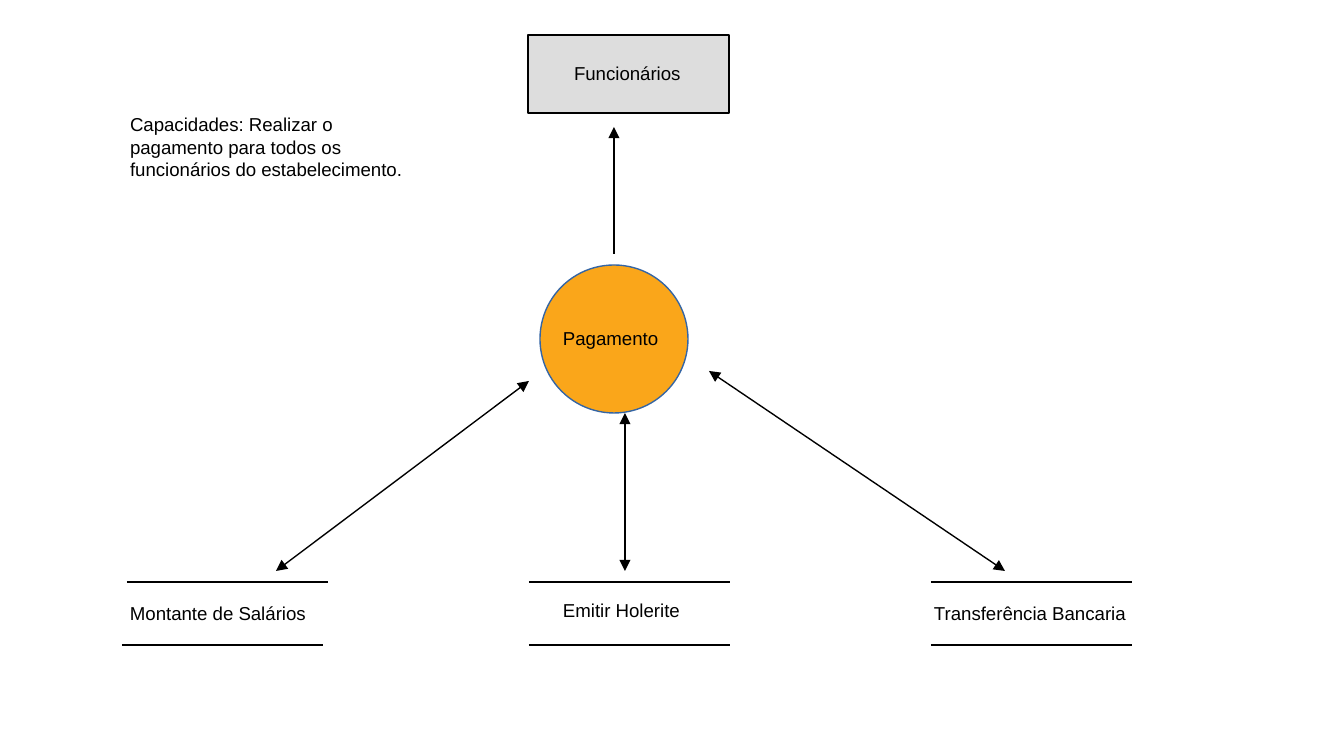
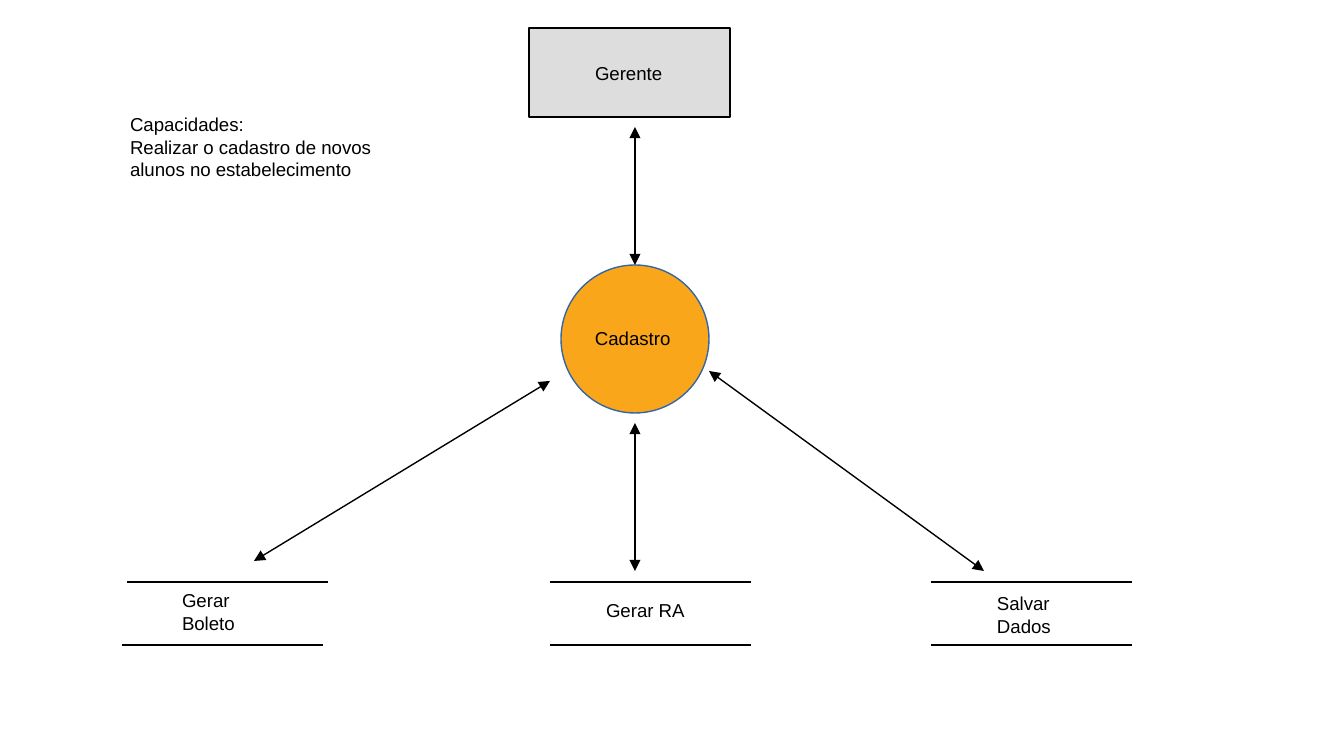
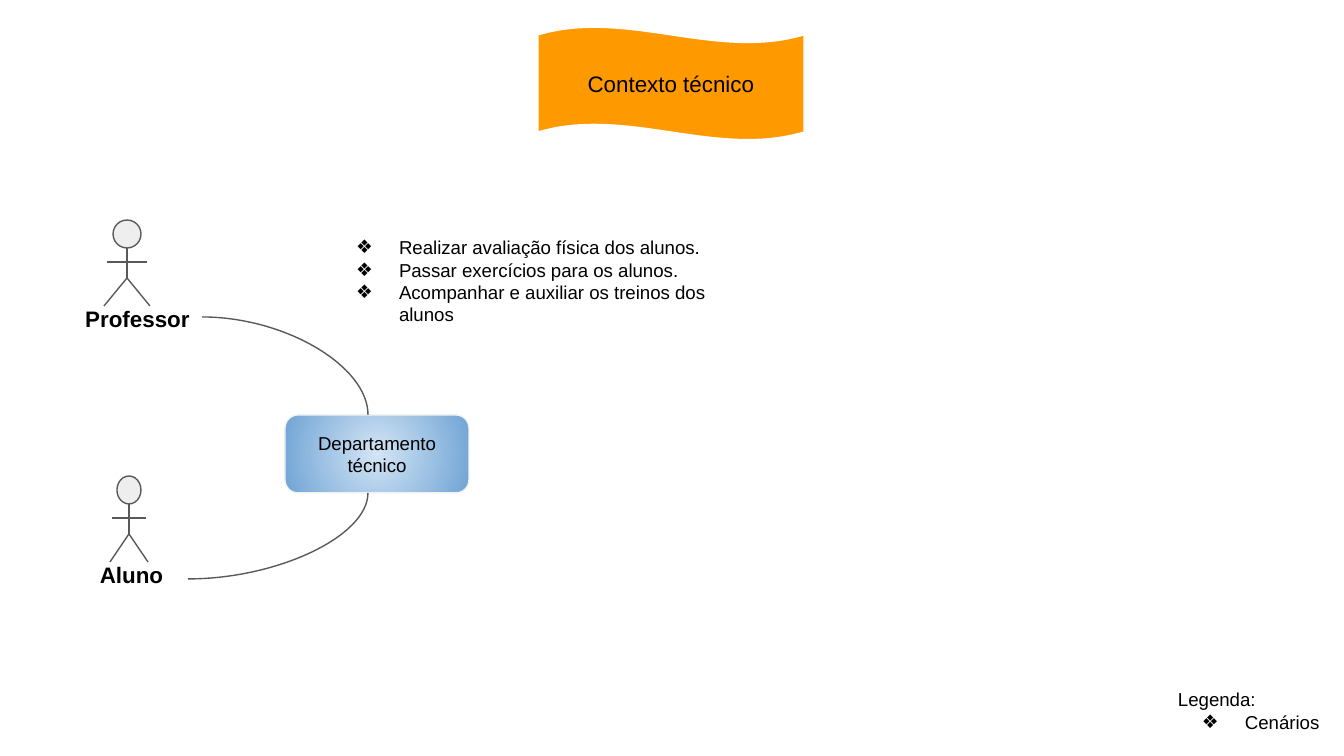
from dataclasses import dataclass

from lxml.etree import SubElement
from pptx import Presentation
from pptx.dml.color import RGBColor
from pptx.enum.shapes import MSO_CONNECTOR, MSO_SHAPE
from pptx.enum.text import MSO_ANCHOR, MSO_AUTO_SIZE, PP_ALIGN
from pptx.oxml.ns import qn
from pptx.util import Emu, Pt

EMU_PER_PX = 914400 / 134.4
FONT = "Arial"
BLACK = "000000"
WHITE = "FFFFFF"
GRAY = "595959"
ORANGE = "FAA61A"
BLUE = "3465A4"
STORE_W = 201
STORE_TOP = 582
STORE_BOTTOM = 645
PROCESS_TOP = 265
PROCESS_D = 148
LABEL_H = 39


@dataclass(frozen=True)
class Box:
    x: int
    y: int
    w: int
    h: int


@dataclass(frozen=True)
class Label:
    text: str
    x: int
    y: int
    w: int


@dataclass(frozen=True)
class Arrow:
    x1: int
    y1: int
    x2: int
    y2: int
    both: bool = True


@dataclass(frozen=True)
class Flow:
    capacity: list[str]
    entity: Box
    process_x: int
    store_tops: list[int]
    store_bottoms: list[int]
    labels: list[Label]
    arrows: list[Arrow]


@dataclass(frozen=True)
class Actor:
    name: str
    cx: int
    top: int
    head_w: int
    arm: int
    leg: int
    label_w: int


FLOWS = [
    Flow(
        ["Capacidades: Realizar o pagamento para todos os funcionários do estabelecimento."],
        Box(528, 35, 201, 78), 540, [127, 529, 931], [122, 529, 931],
        [
            Label("Montante de Salários", 117, 595, 222),
            Label("Emitir Holerite", 550, 592, 159),
            Label("Transferência Bancaria", 921, 595, 254),
            Label("Funcionários", 561, 55, 137),
            Label("Pagamento", 550, 320, 126),
        ],
        [
            Arrow(614, 254, 614, 127, both=False),
            Arrow(276, 571, 529, 381),
            Arrow(625, 571, 625, 413),
            Arrow(1005, 571, 709, 371),
        ],
    ),
    Flow(
        ["Capacidades:", "Realizar o cadastro de novos alunos no estabelecimento"],
        Box(529, 28, 201, 89), 561, [127, 550, 931], [122, 550, 931],
        [
            Label("Gerar Boleto", 169, 582, 117),
            Label("Gerar RA", 593, 592, 117),
            Label("Salvar Dados", 984, 585, 117),
            Label("Gerente", 582, 55, 117),
            Label("Cadastro", 582, 320, 180),
        ],
        [
            Arrow(635, 127, 635, 265),
            Arrow(254, 561, 550, 381),
            Arrow(635, 423, 635, 571),
            Arrow(709, 371, 984, 571),
        ],
    ),
]

ACTORS = [
    Actor("Professor", 127, 220, 28, 20, 23, 171),
    Actor("Aluno", 129, 476, 24, 17, 19, 159),
]
TASKS = [
    "Realizar avaliação física dos alunos.",
    "Passar exercícios para os alunos.",
    "Acompanhar e auxiliar os treinos dos alunos",
]


def px(n: float) -> Emu:
    return Emu(round(n * EMU_PER_PX))


def rgb(color: str) -> RGBColor:
    return RGBColor.from_string(color)


def place(sp, box: Box) -> None:
    sp.left, sp.top, sp.width, sp.height = (px(n) for n in (box.x, box.y, box.w, box.h))


def add_run(p, text: str, size: int = 10, bold: bool = False, align=PP_ALIGN.LEFT) -> None:
    p.alignment = align
    p.space_before = Pt(0)
    r = p.add_run()
    r.text = text
    r.font.name = FONT
    r.font.size = Pt(size)
    r.font.bold = bold
    r.font.color.rgb = rgb(BLACK)


def add_bullet(p, text: str) -> None:
    add_run(p, text)
    pPr = p.runs[0].font._element.getparent().getparent().find(qn("a:pPr"))
    pPr.set("marL", str(px(67)))
    pPr.set("indent", str(px(-43)))
    SubElement(pPr, qn("a:buFont"), typeface=FONT)
    SubElement(pPr, qn("a:buChar"), char="❖")


def next_paragraph(tf, first: bool):
    return tf.paragraphs[0] if first else tf.add_paragraph()


def set_frame(sp, inset_y: int = 13, anchor=MSO_ANCHOR.TOP):
    tf = sp.text_frame
    tf.word_wrap = True
    tf.auto_size = MSO_AUTO_SIZE.NONE
    tf.vertical_anchor = anchor
    tf.margin_left = tf.margin_right = px(13)
    tf.margin_top = tf.margin_bottom = px(inset_y)
    return tf


def add_text(shapes, box: Box, lines: list[str], inset_y: int = 7, size: int = 10,
             bold: bool = False, align=PP_ALIGN.LEFT):
    sp = shapes.add_textbox(px(box.x), px(box.y), px(box.w), px(box.h))
    tf = set_frame(sp, inset_y)
    for i, line in enumerate(lines):
        add_run(next_paragraph(tf, i == 0), line, size, bold, align)
    return tf


def add_box(shapes, kind, box: Box, fill: str, line: str):
    sp = shapes.add_shape(kind, px(box.x), px(box.y), px(box.w), px(box.h))
    sp.shadow.inherit = False
    sp.fill.solid()
    sp.fill.fore_color.rgb = rgb(fill)
    sp.line.color.rgb = rgb(line)
    sp.line.width = Pt(0.75)
    return sp


def add_line(shapes, x1: int, y1: int, x2: int, y2: int, color: str = BLACK,
             head: bool = False, tail: bool = False, curved: bool = False):
    kind = MSO_CONNECTOR.CURVE if curved else MSO_CONNECTOR.STRAIGHT
    cxn = shapes.add_connector(kind, px(x1), px(y1), px(x2), px(y2))
    cxn.line.color.rgb = rgb(color)
    cxn.line.width = Pt(0.75)
    spPr = cxn.element.spPr
    ln = spPr.find(qn("a:ln"))
    if head:
        SubElement(ln, qn("a:headEnd"), type="triangle")
    if tail:
        SubElement(ln, qn("a:tailEnd"), type="triangle")
    if curved:
        spPr.find(qn("a:prstGeom")).set("prst", "curvedConnector2")
    SubElement(spPr, qn("a:effectLst"))


def add_flow(prs, flow: Flow) -> None:
    shapes = prs.slides.add_slide(prs.slide_layouts[6]).shapes
    process = Box(flow.process_x, PROCESS_TOP, PROCESS_D, PROCESS_D)
    add_box(shapes, MSO_SHAPE.OVAL, process, ORANGE, BLUE)
    add_box(shapes, MSO_SHAPE.RECTANGLE, flow.entity, "DDDDDD", BLACK)
    for y, xs in ((STORE_TOP, flow.store_tops), (STORE_BOTTOM, flow.store_bottoms)):
        for x in xs:
            add_line(shapes, x, y, x + STORE_W, y)
    add_text(shapes, Box(117, 106, 306, 75), flow.capacity)
    for label in flow.labels:
        add_text(shapes, Box(label.x, label.y, label.w, LABEL_H), [label.text])
    for a in flow.arrows:
        add_line(shapes, a.x1, a.y1, a.x2, a.y2, head=a.both, tail=True)


def add_actor(shapes, actor: Actor) -> None:
    group = shapes.add_group_shape().shapes
    cx, top = actor.cx, actor.top
    neck, arms, hip, feet = (top + n for n in (28, 42, 58, 86))
    head = Box(cx - actor.head_w // 2, top, actor.head_w, 28)
    add_box(group, MSO_SHAPE.FLOWCHART_CONNECTOR, head, "EEEEEE", GRAY)
    add_line(group, cx, neck, cx, hip, GRAY)
    add_line(group, cx - actor.arm, arms, cx + actor.arm, arms, GRAY)
    for side in (-1, 1):
        add_line(group, cx, hip, cx + side * actor.leg, feet, GRAY)
    add_text(group, Box(52, top + 72, actor.label_w, 50), [actor.name],
             inset_y=13, size=12, bold=True, align=PP_ALIGN.CENTER)


def add_context(prs) -> None:
    slide = prs.slides.add_slide(prs.slide_layouts[1])
    shapes = slide.shapes
    banner = Box(538, 27, 266, 113)
    wave = add_box(shapes, MSO_SHAPE.WAVE, banner, "FF9900", WHITE)
    wave.adjustments[0] = 0.07
    wave.adjustments[1] = 0
    title = shapes.title
    place(title, banner)
    tf = set_frame(title, anchor=MSO_ANCHOR.MIDDLE)
    add_run(tf.paragraphs[0], "Contexto técnico", 12, align=PP_ALIGN.CENTER)
    wave.element.addnext(title.element)

    department = add_box(shapes, MSO_SHAPE.ROUNDED_RECTANGLE, Box(285, 415, 184, 78), WHITE, "F3F3F3")
    department.fill.gradient()
    for stop, color in zip(department.fill.gradient_stops, ("D4E5F5", "70A4D5")):
        stop.color.rgb = rgb(color)
    grad = department.element.spPr.find(qn("a:gradFill"))
    grad.remove(grad.find(qn("a:lin")))
    radial = SubElement(grad, qn("a:path"), path="circle")
    SubElement(radial, qn("a:fillToRect"), l="50000", t="50000", r="50000", b="50000")
    tf = set_frame(department, anchor=MSO_ANCHOR.MIDDLE)
    add_run(tf.paragraphs[0], "Departamento técnico", align=PP_ALIGN.CENTER)

    for actor in ACTORS:
        add_actor(shapes, actor)
    add_line(shapes, 202, 317, 368, 415, GRAY, curved=True)
    add_line(shapes, 188, 579, 368, 493, GRAY, curved=True)

    body = slide.placeholders[1]
    place(body, Box(319, 223, 446, 164))
    tf = set_frame(body)
    for i, task in enumerate(TASKS):
        add_bullet(next_paragraph(tf, i == 0), task)
    tf = add_text(shapes, Box(1165, 675, 171, 70), ["Legenda:"], inset_y=13)
    add_bullet(tf.add_paragraph(), "Cenários")


def main() -> None:
    prs = Presentation()
    prs.slide_width, prs.slide_height = px(1344), px(756)
    for flow in FLOWS:
        add_flow(prs, flow)
    add_context(prs)
    prs.save("out.pptx")


if __name__ == "__main__":
    main()
